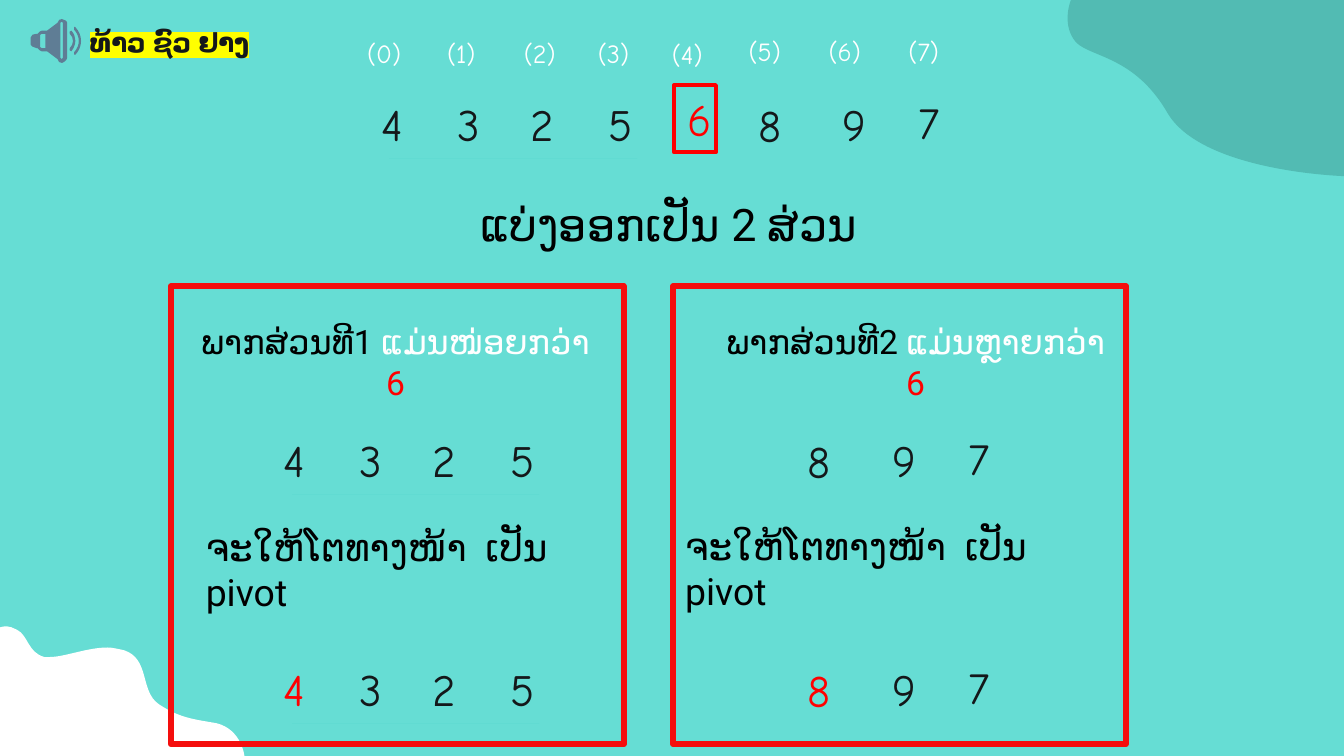
from lxml import etree
from pptx import Presentation
from pptx.dml.color import RGBColor
from pptx.enum.shapes import MSO_CONNECTOR, MSO_SHAPE
from pptx.enum.text import MSO_ANCHOR, MSO_AUTO_SIZE, PP_ALIGN
from pptx.oxml.ns import qn
from pptx.util import Cm, Pt

RECT = MSO_SHAPE.RECTANGLE
STRAIGHT = MSO_CONNECTOR.STRAIGHT
TOP = MSO_ANCHOR.TOP
GROW = MSO_AUTO_SIZE.SHAPE_TO_FIT_TEXT
LEFT, CENTER = PP_ALIGN.LEFT, PP_ALIGN.CENTER
DIGIT_FONT, BODY_FONT = "Comic Neue", "Roboto"
COLORS = {
    "background": "66DDD4", "corner": "52BBB3", "white": "FFFFFF",
    "black": "000000", "ink": "14181A", "red": "FF0000", "frame": "F50E0D",
    "baseline": "61DBD2", "icon": "5F7D95", "highlight": "FFFF00",
}

# A contour is a start point followed by points (x, y) and cubic curves
# (x1, y1, x2, y2, x, y), in cm.
WHITE_WAVE = [[
    (0.13, 11.84), (0.18, 11.84, 0.23, 11.86, 0.33, 11.91),
    (0.53, 12.01, 0.53, 12.34, 0.84, 12.42),
    (0.89, 12.42, 0.91, 12.42, 0.94, 12.42),
    (1.22, 12.42, 1.65, 12.24, 2.03, 12.24),
    (2.13, 12.24, 2.24, 12.27, 2.34, 12.29),
    (2.84, 12.45, 2.64, 13.06, 3, 13.31),
    (3.38, 13.56, 3.61, 13.59, 4.09, 13.67),
    (4.57, 13.79, 4.62, 14.29, 4.62, 14.29), (0, 14.29), (0, 11.86),
    (0, 11.86, 0.05, 11.84, 0.13, 11.84),
]]
GREEN_CORNER = [[
    (25.4, 0), (25.4, 3.33), (25.4, 3.33, 22.68, 3.25, 22.05, 2.11),
    (21.39, 0.99, 20.5, 1.09, 20.29, 0.74), (20.07, 0.41, 20.24, 0, 20.24, 0),
]]
OUTER_WAVE = [[
    (1.42, 0.51), (1.4, 0.51), (1.4, 0.56), (1.52, 0.69, 1.52, 0.86, 1.4, 0.99),
    (1.4, 1.02, 1.4, 1.04, 1.42, 1.04), (1.57, 0.89, 1.57, 0.66, 1.42, 0.51),
]]
INNER_WAVE = [[
    (1.35, 0.58), (1.32, 0.58, 1.3, 0.61, 1.32, 0.64),
    (1.4, 0.71, 1.4, 0.84, 1.32, 0.91), (1.3, 0.94, 1.32, 0.97, 1.35, 0.97),
    (1.45, 0.84, 1.45, 0.69, 1.35, 0.58),
]]
SPEAKER = [
    [(0.86, 0.64), (0.86, 0.91), (0.79, 0.91), (0.76, 0.89), (0.76, 0.66),
     (0.79, 0.64)],
    [(1.17, 0.41), (1.19, 0.43), (1.19, 1.09), (1.17, 1.12), (1.14, 1.09),
     (1.14, 0.43)],
    [(1.17, 0.36), (1.14, 0.36, 1.09, 0.38, 1.09, 0.43), (0.89, 0.58),
     (0.79, 0.58), (0.76, 0.58, 0.74, 0.61, 0.71, 0.64), (0.69, 0.64),
     (0.64, 0.64, 0.58, 0.66, 0.58, 0.71), (0.58, 0.84),
     (0.58, 0.86, 0.64, 0.91, 0.69, 0.91), (0.71, 0.91),
     (0.74, 0.94, 0.76, 0.97, 0.79, 0.97), (0.89, 0.97), (1.09, 1.12),
     (1.09, 1.17, 1.14, 1.19, 1.17, 1.19),
     (1.19, 1.19, 1.27, 1.14, 1.27, 1.09), (1.27, 0.43),
     (1.27, 0.41, 1.22, 0.36, 1.17, 0.36)],
]

# Text, left and top in the full list; the parts reuse these with an offset.
SMALLER = [("4", 6.96, 1.7), ("3", 8.39, 1.7), ("2", 9.78, 1.7), ("5", 11.25, 1.7)]
LARGER = [("8", 14.08, 1.73), ("9", 15.67, 1.7), ("7", 17.11, 1.67)]
INDEX_PLACES = [(6.69, 0.58), (8.2, 0.58), (9.65, 0.58), (11.05, 0.58),
                (12.45, 0.6), (13.9, 0.54), (15.41, 0.54), (16.92, 0.54)]
LEFT_SHIFT, RIGHT_SHIFT = -1.85, 0.94
PART_DROP, PIVOT_DROP = 6.35, 10.68
FRAME_LEFTS = (3.23, 12.72)


def rgb(name):
    return RGBColor.from_string(COLORS[name])


def contour_points(contour):
    """List end and control points in thousandths of a cm."""
    return [(part[i] * 1000, part[i + 1] * 1000)
            for part in contour for i in range(0, len(part), 2)]


def bend_curves(sp, contours):
    """Merge the three line steps of each curve into one cubic step."""
    steps = iter(list(sp._element.iter(qn("a:lnTo"))))
    for contour in contours:
        for part in contour[1:]:
            step = next(steps)
            if len(part) == 6:
                step.tag = qn("a:cubicBezTo")
                for extra in (next(steps), next(steps)):
                    step.append(extra[0])
                    extra.getparent().remove(extra)


def add_outline(shapes, contours, color):
    first, *others = [contour_points(c) for c in contours]
    builder = shapes.build_freeform(*first[0], scale=Cm(0.001))
    builder.add_line_segments(first[1:], close=True)
    for points in others:
        builder.move_to(*points[0])
        builder.add_line_segments(points[1:], close=True)
    sp = builder.convert_to_shape()
    bend_curves(sp, contours)
    sp.shadow.inherit = False
    sp.fill.solid()
    sp.fill.fore_color.rgb = rgb(color)
    sp.line.fill.background()


def add_frame(shapes, x, y, w, h, color, width):
    sp = shapes.add_shape(RECT, Cm(x), Cm(y), Cm(w), Cm(h))
    sp.shadow.inherit = False
    sp.fill.background()
    sp.line.color.rgb = rgb(color)
    sp.line.width = Pt(width)
    return sp


def set_text(sp, runs, size, font, align=LEFT):
    """Fill sp with one paragraph of (text, colour) runs."""
    tf = sp.text_frame
    tf.word_wrap = True
    tf.auto_size = GROW
    tf.vertical_anchor = TOP
    p = tf.paragraphs[0]
    p.alignment = align
    p.font.size = Pt(size)
    p.font.name = font
    for text, color in runs:
        r = p.add_run()
        r.text = text
        r.font.color.rgb = rgb(color)
    return p


def add_text(shapes, x, y, w, h, runs, size, font, align=LEFT):
    sp = shapes.add_textbox(Cm(x), Cm(y), Cm(w), Cm(h))
    return set_text(sp, runs, size, font, align)


def add_digits(shapes, digits, dx=0, dy=0, first_color="ink"):
    for i, (text, x, y) in enumerate(digits):
        color = "ink" if i else first_color
        add_text(shapes, x + dx, y + dy, 0.79, 1.27, [(text, color)], 24, DIGIT_FONT)


def add_baseline(shapes, dx=0, dy=0):
    y = Cm(3 + dy)
    line = shapes.add_connector(STRAIGHT, Cm(12.04 + dx), y, Cm(7.36 + dx), y)
    line.line.color.rgb = rgb("baseline")
    line.line.width = Pt(0.75)
    etree.SubElement(line._element.spPr, qn("a:effectLst"))


def add_name_tag(shapes):
    group = shapes.add_group_shape().shapes
    for contours in (OUTER_WAVE, INNER_WAVE, SPEAKER):
        add_outline(group, contours, "icon")
    p = add_text(group, 1.45, 0.38, 5.46, 0.86, [("ທ້າວ ຊົວ ຢາງ", "ink")], 14, BODY_FONT)
    p.font.bold = True
    fill = p.runs[0]._r.rPr.find(qn("a:solidFill"))
    mark = etree.Element(qn("a:highlight"))
    etree.SubElement(mark, qn("a:srgbClr"), val=COLORS["highlight"])
    fill.addnext(mark)


def add_part(shapes, title, title_x, note_x, note_y, digits, shift):
    add_text(shapes, title_x, 5.95, 8.03, 1.02, title, 18, BODY_FONT, CENTER)
    add_digits(shapes, digits, shift, PART_DROP)
    add_digits(shapes, digits, shift, PIVOT_DROP, "red")
    add_text(shapes, note_x, note_y, 8.15, 1.12,
             [("ຈະໃຫ້ໂຕທາງໜ້າ  ເປັນ pivot", "black")], 20, BODY_FONT)


def main():
    prs = Presentation()
    prs.slide_width, prs.slide_height = Cm(25.4), Cm(14.29)
    s = prs.slides.add_slide(prs.slide_layouts[6])
    s.background.fill.solid()
    s.background.fill.fore_color.rgb = rgb("background")
    shapes = s.shapes

    add_outline(shapes, WHITE_WAVE, "white")
    add_outline(shapes, GREEN_CORNER, "corner")

    pivot = add_frame(shapes, 12.74, 1.61, 0.79, 1.27, "red", 2.25)
    set_text(pivot, [("6", "red")], 24, DIGIT_FONT)
    add_digits(shapes, SMALLER + LARGER)
    for i, (x, y) in enumerate(INDEX_PLACES):
        add_text(shapes, x, y, 1.24, 0.86, [(f"({i})", "white")], 14, DIGIT_FONT)

    add_baseline(shapes)
    for drop in (PART_DROP, PIVOT_DROP):
        add_baseline(shapes, LEFT_SHIFT, drop)

    add_text(shapes, 8.62, 3.59, 8.03, 1.27,
             [("ແບ່ງອອກເປັນ 2 ສ່ວນ", "black")], 24, BODY_FONT, CENTER)
    add_part(shapes,
             [("ພາກສ່ວນທີ1 ", "black"), ("ແມ່ນໜ່ອຍກວ່າ ", "white"), ("6", "red")],
             3.46, 3.64, 9.78, SMALLER, LEFT_SHIFT)
    add_part(shapes,
             [("ພາກສ່ວນທີ2 ", "black"), ("ແມ່ນຫຼາຍກວ່າ ", "white"), ("6", "red")],
             13.29, 12.7, 9.76, LARGER, RIGHT_SHIFT)
    add_name_tag(shapes)
    for x in FRAME_LEFTS:
        add_frame(shapes, x, 5.41, 8.56, 8.66, "frame", 3)
    prs.save("out.pptx")


if __name__ == "__main__":
    main()
